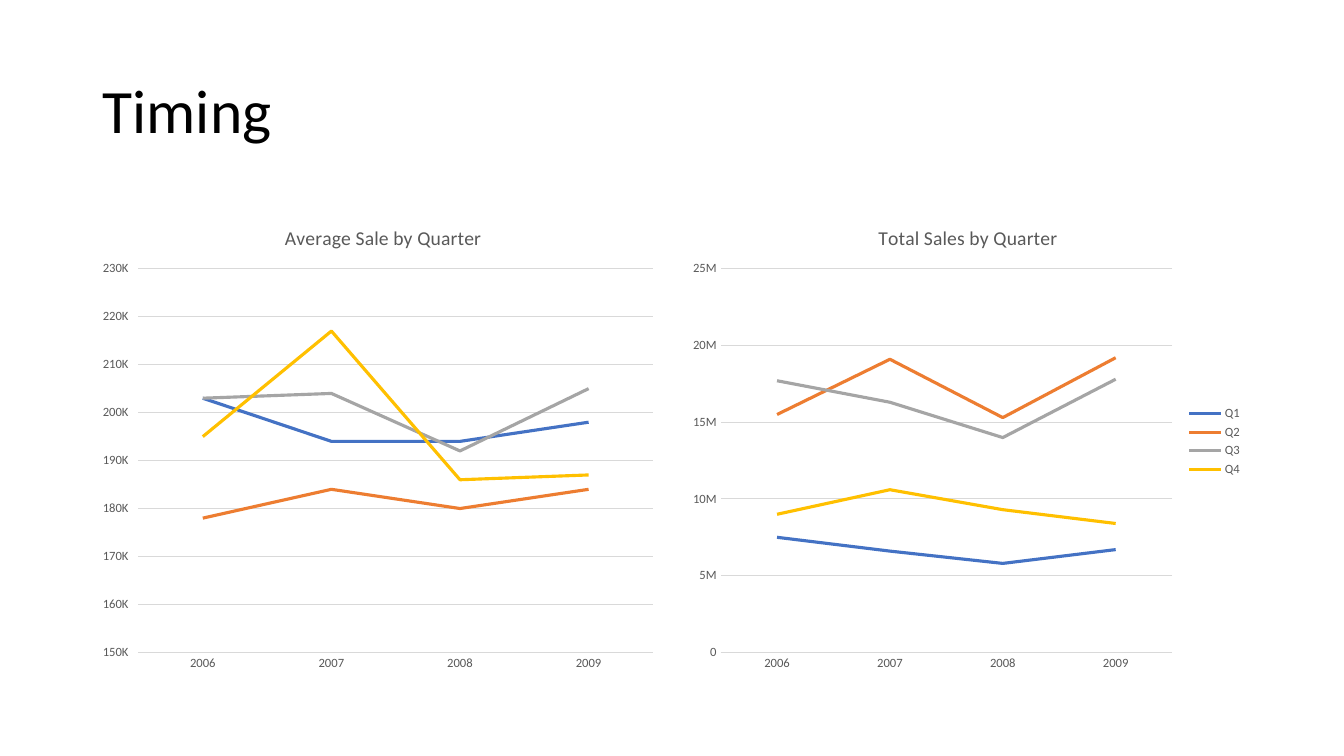
"""Build the Timing slide: two line charts of sales by quarter."""
from lxml import etree
from pptx import Presentation
from pptx.chart.data import CategoryChartData
from pptx.dml.color import RGBColor
from pptx.enum.chart import XL_CHART_TYPE, XL_LEGEND_POSITION, XL_TICK_MARK
from pptx.enum.text import MSO_ANCHOR
from pptx.oxml.ns import qn
from pptx.util import Inches, Pt

LINE = XL_CHART_TYPE.LINE
RIGHT = XL_LEGEND_POSITION.RIGHT
NONE, OUT = XL_TICK_MARK.NONE, XL_TICK_MARK.OUTSIDE
MIDDLE = MSO_ANCHOR.MIDDLE

FONT = "Calibri"
BLACK, GREY, RULE = "000000", "595959", "D9D9D9"
YEARS = ["2006", "2007", "2008", "2009"]
QUARTERS = {"Q1": "4472C4", "Q2": "ED7D31", "Q3": "A5A5A5", "Q4": "FFC000"}
CHARTS = [
    {
        "title": "Average Sale by Quarter",
        "values": [
            [203000, 194000, 194000, 198000],
            [178000, 184000, 180000, 184000],
            [203000, 204000, 192000, 205000],
            [195000, 217000, 186000, 187000],
        ],
        "scale": (150000, 230000, 10000),
        "format": '###,"K"',
        "tick": OUT,
        "legend": False,
        "head": {"x": 0.33, "y": 0.04},
        "plot": {"x": 0.08, "y": 0.14, "w": 0.9, "h": 0.8},
    },
    {
        "title": "Total Sales by Quarter",
        "values": [
            [7500000, 6600000, 5800000, 6700000],
            [15500000, 19100000, 15300000, 19200000],
            [17700000, 16300000, 14000000, 17800000],
            [9000000, 10600000, 9300000, 8400000],
        ],
        "scale": (0, 25000000, 5000000),
        "format": '[>999999]#,,"M";General',
        "tick": NONE,
        "legend": True,
        "head": {"x": 0.34, "y": 0.04},
        "plot": {"x": 0.07, "y": 0.14, "w": 0.79, "h": 0.8},
    },
]
LEFT, TOP, WIDTH, HEIGHT, STEP = 0.92, 2, 5.67, 4.76, 5.83


def color(code):
    return RGBColor.from_string(code)


def style(font, size, code):
    font.name, font.size, font.bold = FONT, Pt(size), False
    font.color.rgb = color(code)


def stroke(line, code, width):
    line.color.rgb = color(code)
    line.width = Pt(width)


def place(parent, index, box, inner=False):
    for old in parent.findall(qn("c:layout")):
        parent.remove(old)
    layout = etree.Element(qn("c:layout"))
    manual = etree.SubElement(layout, qn("c:manualLayout"))
    if inner:
        etree.SubElement(manual, qn("c:layoutTarget"), val="inner")
    for side in "xy":
        etree.SubElement(manual, qn(f"c:{side}Mode"), val="edge")
    for key, value in box.items():
        etree.SubElement(manual, qn(f"c:{key}"), val=str(value))
    parent.insert(index, layout)


def add_title(slide):
    box = slide.shapes.add_textbox(Inches(LEFT), Inches(0.4), Inches(11.5), Inches(1.45))
    frame = box.text_frame
    frame.word_wrap = True
    frame.vertical_anchor = MIDDLE
    para = frame.paragraphs[0]
    para.text = "Timing"
    para.line_spacing = 0.9
    style(para.font, 44, BLACK)


def add_axes(chart, item):
    years, sales = chart.category_axis, chart.value_axis
    for axis in (years, sales):
        style(axis.tick_labels.font, 9, GREY)
        axis.minor_tick_mark = NONE
    years.major_tick_mark = NONE
    stroke(years.format.line, RULE, 0.75)
    sales.major_tick_mark = item["tick"]
    sales.minimum_scale, sales.maximum_scale, sales.major_unit = item["scale"]
    sales.tick_labels.number_format = item["format"]
    sales.tick_labels.number_format_is_linked = False
    sales.format.line.fill.background()
    stroke(sales.major_gridlines.format.line, RULE, 0.75)


def add_sales(slide, item, left):
    data = CategoryChartData()
    data.categories = YEARS
    for name, values in zip(QUARTERS, item["values"]):
        data.add_series(name, values)
    frame = slide.shapes.add_chart(
        LINE, Inches(left), Inches(TOP), Inches(WIDTH), Inches(HEIGHT), data)
    chart = frame.chart
    style(chart.font, 10, BLACK)
    chart.has_title = True
    para = chart.chart_title.text_frame.paragraphs[0]
    para.text = item["title"]
    style(para.font, 14, GREY)
    add_axes(chart, item)
    plot = chart.plots[0]
    plot.vary_by_categories = False
    for series, code in zip(plot.series, QUARTERS.values()):
        series.smooth = False
        stroke(series.format.line, code, 2.25)
    chart.has_legend = item["legend"]
    if item["legend"]:
        chart.legend.position = RIGHT
        chart.legend.include_in_layout = False
        style(chart.legend.font, 9, GREY)
    root = chart.element.find(qn("c:chart"))
    place(root.find(qn("c:title")), 1, item["head"])
    place(root.find(qn("c:plotArea")), 0, item["plot"], inner=True)


def main():
    deck = Presentation()
    deck.slide_width, deck.slide_height = Inches(13.33), Inches(7.5)
    slide = deck.slides.add_slide(deck.slide_layouts[6])
    add_title(slide)
    for i, item in enumerate(CHARTS):
        add_sales(slide, item, LEFT + i * STEP)
    deck.save("out.pptx")


if __name__ == "__main__":
    main()
